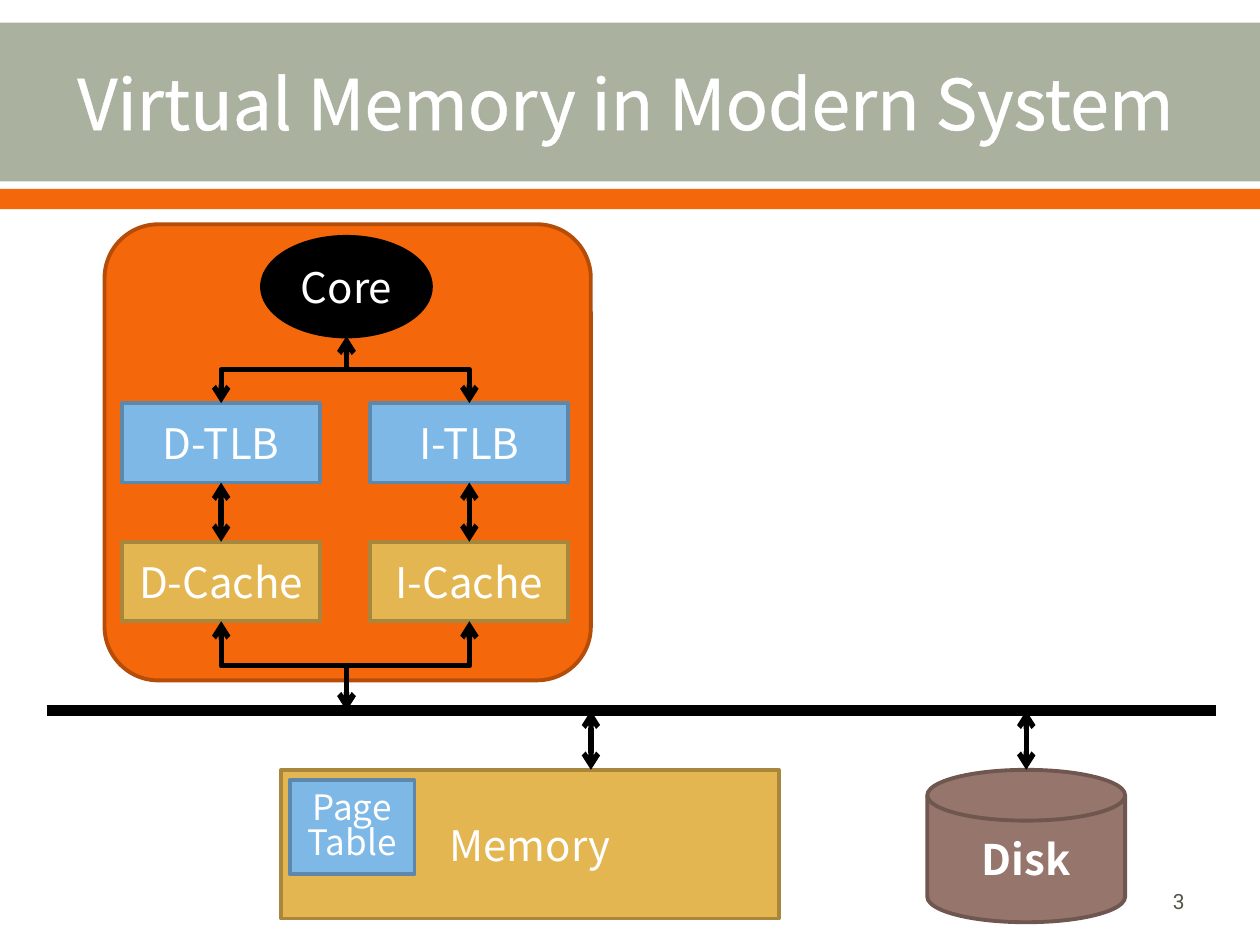
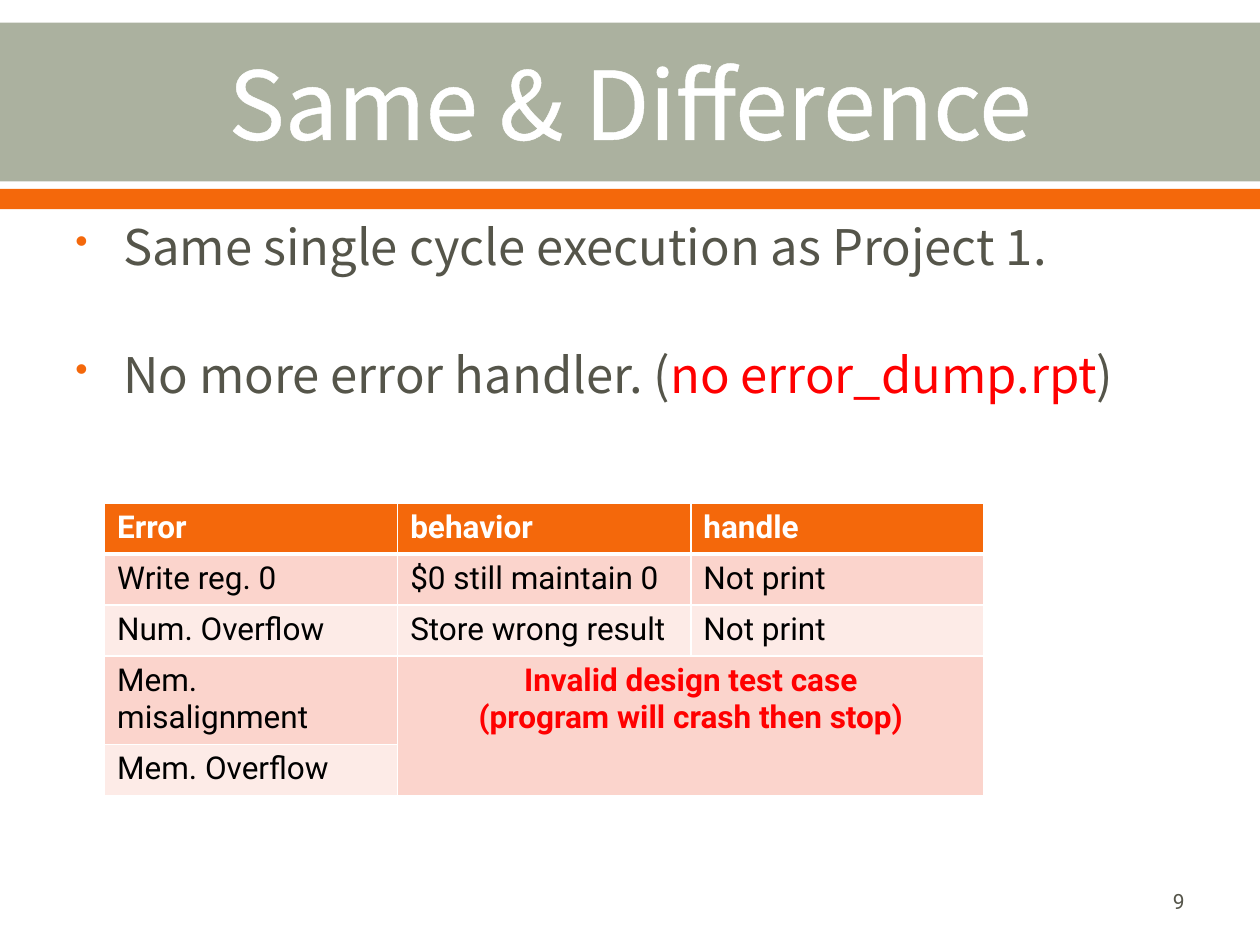
from collections import namedtuple

from lxml import etree
from pptx import Presentation
from pptx.dml.color import RGBColor
from pptx.enum import shapes, text
from pptx.oxml import ns
from pptx.util import Inches, Pt

SAGE = RGBColor(0xAB, 0xB1, 0x9F)
ORANGE = RGBColor(0xF4, 0x68, 0x0B)
DARK_ORANGE = RGBColor(0xB5, 0x4D, 0x08)
BLUE = RGBColor(0x7E, 0xB8, 0xE7)
DARK_BLUE = RGBColor(0x5D, 0x88, 0xAB)
GOLD = RGBColor(0xE3, 0xB6, 0x51)
DARK_GOLD = RGBColor(0xA8, 0x87, 0x3C)
BROWN = RGBColor(0x96, 0x75, 0x6C)
DARK_BROWN = RGBColor(0x6F, 0x57, 0x50)
PINK = RGBColor(0xFB, 0xD4, 0xCC)
PALE_PINK = RGBColor(0xFD, 0xEB, 0xE7)
GREY = RGBColor(0x55, 0x55, 0x4A)
RED = RGBColor(0xFF, 0, 0)
BLACK = RGBColor(0, 0, 0)
WHITE = RGBColor(0xFF, 0xFF, 0xFF)

HEADING_FONT = "Noto Sans CJK SC"
SMALL_FONT = "Roboto"
TITLE_ONLY = 5
TIGHT = 0.83
PRESET = shapes.MSO_SHAPE
ALIGN = text.PP_ALIGN
MIDDLE = text.MSO_ANCHOR.MIDDLE

Box = namedtuple("Box", "left top width height")


def inches(*lengths):
    return [Inches(length) for length in lengths]


def add_xml(parent, tag, **attributes):
    return etree.SubElement(parent, ns.qn(tag), attributes)


def add_outline(parent, tag, color, points):
    """Append a solid line element to the parent and return it."""
    line = add_xml(parent, tag, w=str(Pt(points)))
    add_xml(add_xml(line, "a:solidFill"), "a:srgbClr", val=str(color))
    return line


def add_span(para, words, size, color=WHITE, font=HEADING_FONT, bold=False):
    span = para.add_run()
    span.text = words
    span.font.size = Pt(size)
    span.font.name = font
    span.font.bold = bold
    span.font.color.rgb = color
    return span


def add_text_box(page, box):
    frame = page.shapes.add_textbox(*inches(*box)).text_frame
    frame.word_wrap = True
    return frame


def add_block(page, preset, box, fill, line=None, label="", size=24, bold=False):
    block = page.shapes.add_shape(preset, *inches(*box))
    block.shadow.inherit = False
    block.fill.solid()
    block.fill.fore_color.rgb = fill
    if line is None:
        block.line.fill.background()
    else:
        block.line.color.rgb = line
        block.line.width = Pt(2.22)
    if label:
        frame = block.text_frame
        frame.word_wrap = True
        frame.vertical_anchor = MIDDLE
        para = frame.paragraphs[0]
        para.alignment = ALIGN.CENTER
        add_span(para, label, size, bold=bold)
    return block


def style_line(line, points, arrows):
    line.line.color.rgb = BLACK
    line.line.width = Pt(points)
    add_xml(line._element.spPr, "a:effectLst")
    if arrows:
        outline = line.line._get_or_add_ln()
        add_xml(outline, "a:headEnd", type="arrow")
        add_xml(outline, "a:tailEnd", type="arrow")


def add_line(page, start, end, points=3, arrows=True):
    line = page.shapes.add_connector(
        shapes.MSO_CONNECTOR.STRAIGHT, *inches(*start, *end))
    style_line(line, points, arrows)


def add_bent_arrow(page, start, end):
    """Join two points with an arrow that runs down, sideways, then down."""
    across, down = abs(end[0] - start[0]), end[1] - start[1]
    left = (start[0] + end[0] - down) / 2
    top = (start[1] + end[1] - across) / 2
    arrow = page.shapes.add_connector(
        shapes.MSO_CONNECTOR.ELBOW, *inches(left, top, left + down, top + across))
    transform = arrow._element.spPr.find(ns.qn("a:xfrm"))
    if end[0] > start[0]:
        transform.set("rot", str(270 * 60000))
        transform.set("flipH", "1")
    else:
        transform.set("rot", str(90 * 60000))
    style_line(arrow, 3, True)


def add_page(deck, title, title_box, title_size, number):
    """Add a slide with the shared bands, title and page number."""
    page = deck.slides.add_slide(deck.slide_layouts[TITLE_ONLY])
    bands = [(Box(0, 0.18, 10, 1.26), SAGE), (Box(0, 1.5, 10, 0.16), ORANGE)]
    for depth, (box, fill) in enumerate(bands, start=2):
        band = add_block(page, PRESET.RECTANGLE, box, fill)
        page.shapes._spTree.insert(depth, band._element)

    heading = page.shapes.title
    heading.left, heading.top, heading.width, heading.height = inches(*title_box)
    heading.text_frame.vertical_anchor = MIDDLE
    para = heading.text_frame.paragraphs[0]
    para.alignment = ALIGN.CENTER
    span = add_span(para, title, title_size)
    properties = span.font._element
    properties.insert(0, add_outline(properties, "a:ln", WHITE, 1.1))

    footer = add_text_box(page, Box(7.17, 6.95, 2.33, 0.4))
    footer.vertical_anchor = MIDDLE
    para = footer.paragraphs[0]
    para.alignment = ALIGN.RIGHT
    add_span(para, number, 12, GREY, SMALL_FONT)
    return page


def add_processor(page, box, bus_y):
    """Draw the chip with its core, TLBs and caches, wired to the bus."""
    chip = add_block(page, PRESET.ROUNDED_RECTANGLE, box, ORANGE, DARK_ORANGE)
    chip.adjustments[0] = 0.118
    unit_width, unit_height = 1.57, 0.63
    center = box.left + 1.92
    core = Box(center - 0.67, box.top + 0.1, 1.34, 0.79)
    core_bottom = core.top + core.height
    add_block(page, PRESET.OVAL, core, BLACK, BLACK, "Core")
    tlb_top, cache_top = box.top + 1.42, box.top + 2.52
    for column, kind in enumerate("DI"):
        left = box.left + 0.14 + column * 1.97
        middle = left + unit_width / 2
        add_block(page, PRESET.RECTANGLE, Box(left, tlb_top, unit_width, unit_height),
                  BLUE, DARK_BLUE, f"{kind}-TLB")
        add_block(page, PRESET.RECTANGLE, Box(left, cache_top, unit_width, unit_height),
                  GOLD, DARK_GOLD, f"{kind}-Cache")
        add_bent_arrow(page, (center, core_bottom), (middle, tlb_top))
        add_line(page, (middle, tlb_top + unit_height), (middle, cache_top))
        add_bent_arrow(page, (middle, cache_top + unit_height), (center, bus_y))


def add_memory(page, box, bus_y):
    add_block(page, PRESET.RECTANGLE, box, GOLD, DARK_GOLD, "Memory")
    page_table = add_block(
        page, PRESET.RECTANGLE, Box(box.left + 0.07, box.top + 0.08, 0.99, 0.75),
        BLUE, DARK_BLUE, "Page Table", size=20)
    page_table.text_frame.paragraphs[0].line_spacing = TIGHT
    port = box.left + 2.46
    add_line(page, (port, bus_y), (port, box.top))


def add_disk(page, box, bus_y):
    add_block(page, PRESET.FLOWCHART_MAGNETIC_DISK, box, BROWN, DARK_BROWN,
              "Disk", bold=True)
    port = box.left + box.width / 2
    add_line(page, (port, bus_y), (port, box.top))


def add_bullets(page, box, items):
    """Write bullets, each a list of (words, colour) spans."""
    frame = add_text_box(page, box)
    for index, spans in enumerate(items):
        para = frame.add_paragraph() if index else frame.paragraphs[0]
        para.line_spacing = TIGHT
        para.space_before = Pt(45 if index else 5.6)
        properties = para._p.get_or_add_pPr()
        properties.set("marL", str(Inches(0.38)))
        properties.set("indent", str(Inches(-0.38)))
        add_xml(add_xml(properties, "a:buClr"), "a:srgbClr", val=str(ORANGE))
        add_xml(properties, "a:buSzPct", val="75000")
        add_xml(properties, "a:buChar", char="•")
        for words, color in spans:
            add_span(para, words, 28, color)


def style_cell(cell, fill, header):
    cell.fill.solid()
    cell.fill.fore_color.rgb = fill
    properties = cell._tc.get_or_add_tcPr()
    for position, side in enumerate("LRTB"):
        points = 3 if header and side == "B" else 1
        border = add_outline(properties, f"a:ln{side}", WHITE, points)
        properties.insert(position, border)


def add_error_table(page, box, rows, verdict):
    """Fill the table; the verdict spans the lower right two by two cells."""
    columns = len(rows[0])
    table = page.shapes.add_table(len(rows), columns, *inches(*box)).table
    for r, row in enumerate(rows):
        header = r == 0
        fill = ORANGE if header else PINK if r % 2 else PALE_PINK
        for c in range(columns):
            cell = table.cell(r, c)
            style_cell(cell, fill, header)
            if c < len(row):
                add_span(cell.text_frame.paragraphs[0], row[c], 18,
                         WHITE if header else BLACK, SMALL_FONT, header)

    merged = table.cell(3, 1)
    merged.merge(table.cell(4, 2))
    frame = merged.text_frame
    for index, words in enumerate(verdict):
        para = frame.add_paragraph() if index else frame.paragraphs[0]
        para.alignment = ALIGN.CENTER
        add_span(para, words, 18, RED, SMALL_FONT, True)


def build_memory_page(deck):
    page = add_page(deck, "Virtual Memory in Modern System",
                    Box(0.12, 0.2, 9.69, 1.22), 40, "3")
    bus_y = 5.64
    add_processor(page, Box(0.83, 1.78, 3.86, 3.62), bus_y)
    add_line(page, (0.37, bus_y), (9.65, bus_y), points=6, arrows=False)
    add_memory(page, Box(2.23, 6.11, 3.95, 1.18), bus_y)
    add_disk(page, Box(7.36, 6.11, 1.57, 1.21), bus_y)


def build_difference_page(deck):
    page = add_page(deck, "Same & Difference", Box(0.5, 0.2, 9, 1.22), 54, "9")
    add_bullets(page, Box(0.5, 1.75, 9, 4.95), [
        [("Same single cycle execution as Project 1.", GREY)],
        [("No more error handler. (", GREY), ("no error_dump.rpt", RED), (")", GREY)],
    ])
    add_error_table(page, Box(0.83, 3.99, 6.98, 2.03), [
        ["Error", "behavior", "handle"],
        ["Write reg. 0", "$0 still maintain 0", "Not print"],
        ["Num. Overflow", "Store wrong result", "Not print"],
        ["Mem. misalignment"],
        ["Mem. Overflow"],
    ], ["Invalid design test case", "(program will crash then stop)"])


def main():
    deck = Presentation()
    deck.slide_width, deck.slide_height = inches(10, 7.5)
    build_memory_page(deck)
    build_difference_page(deck)
    deck.save("out.pptx")


if __name__ == "__main__":
    main()
